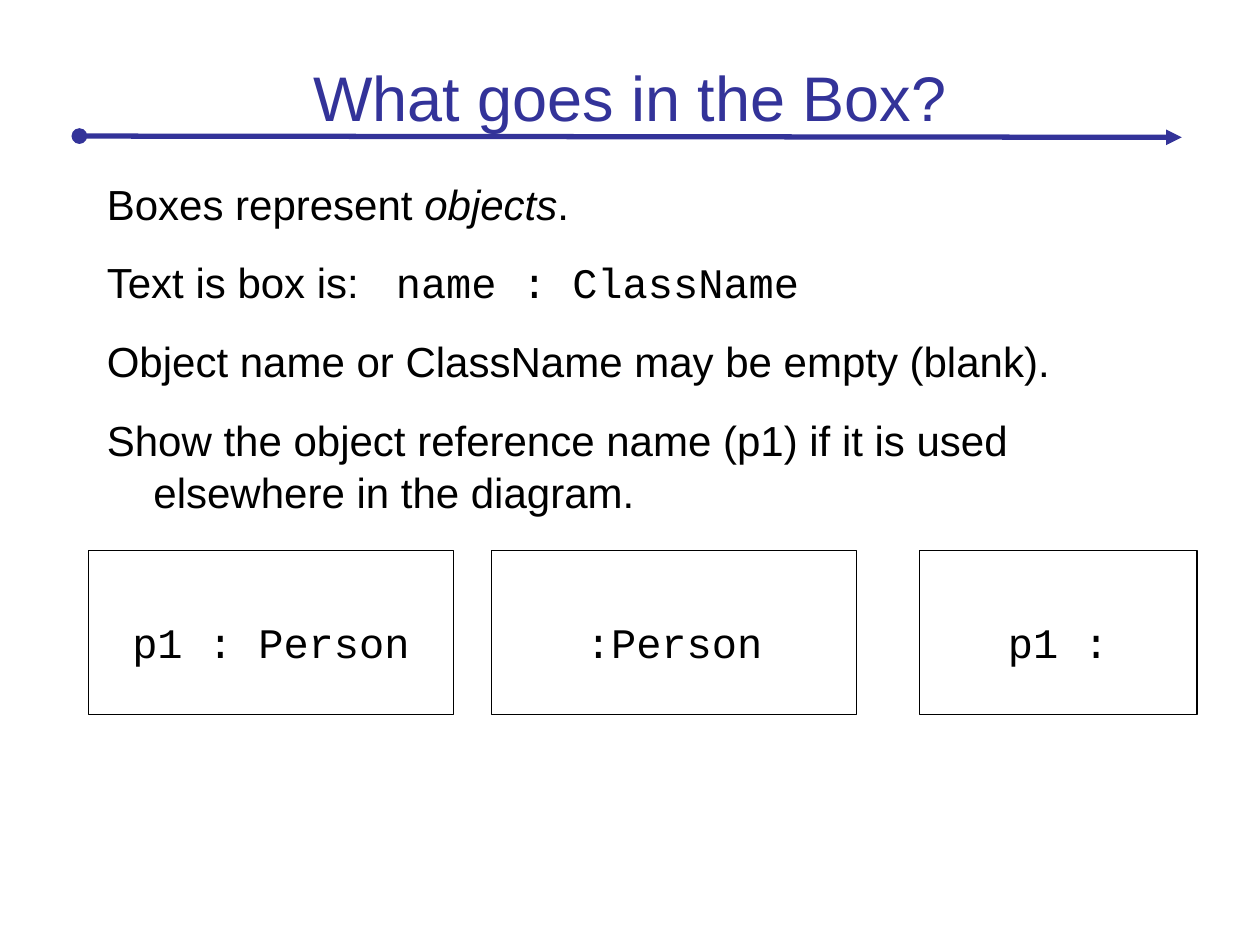
import pptx
import pptx.util
import pptx.dml.color
import pptx.enum.shapes
import pptx.enum.text
import pptx.oxml.ns
import lxml.etree

THEME = {
    "accent": pptx.dml.color.RGBColor.from_string("333399"),
    "ink": pptx.dml.color.RGBColor.from_string("000000"),
    "sans": "Arial", "mono": "Courier New",
    "title": pptx.util.Pt(36), "body": pptx.util.Pt(24),
    "rule": pptx.util.Pt(3), "outline": pptx.util.Pt(0.75),
    "gap": pptx.util.Pt(15),
}

prs = pptx.Presentation()
prs.slide_width = pptx.util.Inches(10)
prs.slide_height = pptx.util.Inches(7.5)
s = prs.slides.add_slide(prs.slide_layouts[6])

# Grid of 100 columns by 75 rows
UNIT = prs.slide_width // 100


def grid(*cells):
    return [round(c * UNIT) for c in cells]


def add_run(p, text, font="sans", size="body", color="ink", italic=None):
    r = p.add_run()
    r.text = text
    r.font.name = THEME[font]
    r.font.size = THEME[size]
    r.font.color.rgb = THEME[color]
    r.font.italic = italic


# Rule under the title, from a dot to an arrowhead
rule = s.shapes.add_connector(pptx.enum.shapes.MSO_CONNECTOR.STRAIGHT,
                              *grid(6.3, 10.8, 93.8, 10.9))
rule.line.color.rgb = THEME["accent"]
rule.line.width = THEME["rule"]
ln = rule.line._get_or_add_ln()
for tag, kind in (("a:headEnd", "oval"), ("a:tailEnd", "triangle")):
    lxml.etree.SubElement(ln, pptx.oxml.ns.qn(tag), type=kind)
lxml.etree.SubElement(rule._element.spPr, pptx.oxml.ns.qn("a:effectLst"))

# Title
tf = s.shapes.add_textbox(*grid(6.7, 1.7, 86.6, 9.4)).text_frame
tf.word_wrap = True
tf.vertical_anchor = pptx.enum.text.MSO_ANCHOR.BOTTOM
p = tf.paragraphs[0]
p.alignment = pptx.enum.text.PP_ALIGN.CENTER
add_run(p, "What goes in the Box?", size="title", color="accent")

# Body: hanging paragraphs, each a list of runs
BODY = [
    [("Boxes represent ", {}), ("objects", {"italic": True}), (".", {})],
    [("Text is box is: ", {}), (" name : ClassName", {"font": "mono"})],
    [("Object name or ClassName may be empty (blank).", {})],
    [("Show the object reference name (p1) if it is used "
      "elsewhere in the diagram.", {})],
]
tf = s.shapes.add_textbox(*grid(7.4, 13.5, 86.6, 30.5)).text_frame
tf.word_wrap = True
for i, runs in enumerate(BODY):
    p = tf.add_paragraph() if i else tf.paragraphs[0]
    p.line_spacing = 1.04
    p.space_before = THEME["gap"] if i else 0
    pPr = p._p.get_or_add_pPr()
    pPr.set("marL", str(pptx.util.Inches(0.38)))
    pPr.set("indent", str(pptx.util.Inches(-0.37)))
    for text, style in runs:
        add_run(p, text, **style)

# Object boxes: label, left column, width in columns
BOX_TOP, BOX_ROWS = 43.7, 13
for label, left, width in (("p1 : Person", 7, 29), (":Person", 39, 29), ("p1 :", 73, 22)):
    sp = s.shapes.add_shape(pptx.enum.shapes.MSO_SHAPE.RECTANGLE,
                            *grid(left, BOX_TOP, width, BOX_ROWS))
    sp.shadow.inherit = False
    sp.fill.background()
    sp.line.color.rgb = THEME["ink"]
    sp.line.width = THEME["outline"]
    tf = sp.text_frame
    tf.word_wrap = True
    tf.vertical_anchor = pptx.enum.text.MSO_ANCHOR.TOP
    tf.margin_top = round(sp.height * 0.4)
    p = tf.paragraphs[0]
    p.alignment = pptx.enum.text.PP_ALIGN.CENTER
    add_run(p, label, font="mono")

prs.save("out.pptx")
